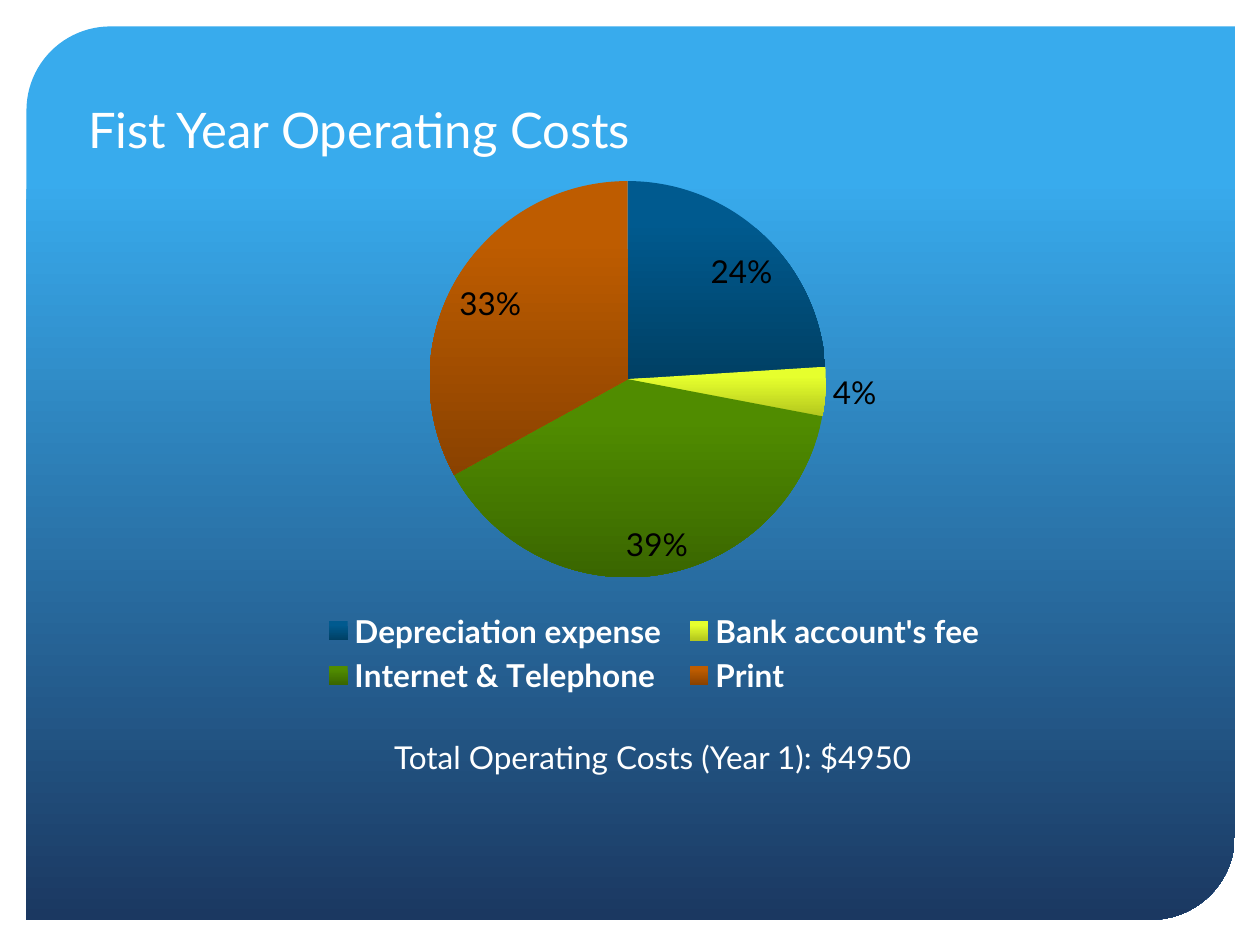
from lxml import etree
from pptx import Presentation
from pptx.chart.data import CategoryChartData
from pptx.dml.color import RGBColor
from pptx.enum.chart import XL_CHART_TYPE, XL_LABEL_POSITION, XL_LEGEND_POSITION
from pptx.enum.shapes import MSO_SHAPE
from pptx.enum.text import MSO_AUTO_SIZE
from pptx.oxml.ns import qn
from pptx.util import Inches, Pt

PANEL = MSO_SHAPE.ROUND_2_DIAG_RECTANGLE
PIE = XL_CHART_TYPE.PIE
FIT = XL_LABEL_POSITION.BEST_FIT
BOTTOM = XL_LEGEND_POSITION.BOTTOM
GROW = MSO_AUTO_SIZE.SHAPE_TO_FIT_TEXT
FONT = "Lato"
WHITE = RGBColor(0xFF, 0xFF, 0xFF)
BLACK = RGBColor(0x00, 0x00, 0x00)
SKY = RGBColor(0x38, 0xAB, 0xED)
NAVY = RGBColor(0x1B, 0x38, 0x61)
# Category, share, top and bottom colour of the slice
COSTS = [
    ("Depreciation expense ", 24, RGBColor(0x00, 0x5A, 0x8F), RGBColor(0x00, 0x40, 0x64)),
    ("Bank account's fee", 4, RGBColor(0xE6, 0xFF, 0x2D), RGBColor(0xB4, 0xC8, 0x1E)),
    ("Internet & Telephone", 39, RGBColor(0x50, 0x8C, 0x00), RGBColor(0x3A, 0x66, 0x00)),
    ("Print ", 33, RGBColor(0xBE, 0x5C, 0x00), RGBColor(0x8A, 0x42, 0x00)),
]


def shade(fill, top, base, start):
    """Fill from top to base colour, downwards."""
    fill.gradient()
    fill.gradient_angle = 270
    for stop, color, pos in zip(fill.gradient_stops, (top, base), (start, 1)):
        stop.color.rgb = color
        stop.position = pos


def style(font, size, color):
    font.name = FONT
    font.size = Pt(size)
    font.color.rgb = color


deck = Presentation()
deck.slide_width, deck.slide_height = Inches(10), Inches(7.5)
slide = deck.slides.add_slide(deck.slide_layouts[6])

# Background panel
panel = slide.shapes.add_shape(PANEL, Inches(0.21), Inches(0.21), Inches(9.59), Inches(7.09))
panel.adjustments[0] = 0.094
panel.adjustments[1] = 0
panel.shadow.inherit = False
panel.line.fill.background()
shade(panel.fill, SKY, NAVY, 0.17)

# Pie chart
data = CategoryChartData()
data.categories = [cost[0] for cost in COSTS]
data.add_series("Series 1", [cost[1] for cost in COSTS])
chart = slide.shapes.add_chart(
    PIE, Inches(1.72), Inches(1.31), Inches(6.94), Inches(4.25), data).chart
chart.has_title = False
style(chart.font, 18, BLACK)
plot = chart.plots[0]
plot.vary_by_categories = True
for i, (name, share, top, base) in enumerate(COSTS):
    shade(plot.series[0].points[i].format.fill, top, base, 0.2)

# Slice labels
plot.has_data_labels = True
labels = plot.data_labels
labels.show_percentage = True
labels.show_value = False
labels.number_format = "0%"
labels.number_format_is_linked = False
labels.position = FIT
style(labels.font, 18, BLACK)

# Legend
chart.has_legend = True
chart.legend.position = BOTTOM
chart.legend.include_in_layout = False
style(chart.legend.font, 18, WHITE)
chart.legend.font.bold = True

# Place of the pie, as shares of the chart frame
area = chart._chartSpace.chart.plotArea
for old in area.findall(qn("c:layout")):
    area.remove(old)
layout = etree.Element(qn("c:layout"))
area.insert(0, layout)
manual = etree.SubElement(layout, qn("c:manualLayout"))
for tag, val in [("layoutTarget", "inner"), ("xMode", "edge"), ("yMode", "edge"),
                 ("x", "0.24"), ("y", "0.03"), ("w", "0.46"), ("h", "0.74")]:
    etree.SubElement(manual, qn("c:" + tag)).set("val", val)

# Title and total
for text, left, top, width, height, size, wrap in [
    ("Fist Year Operating Costs", 0.6, 0.74, 4.85, 0.57, 28, True),
    ("Total Operating Costs (Year 1): $4950", 3.03, 5.81, 4.48, 0.4, 18, False),
]:
    frame = slide.shapes.add_textbox(
        Inches(left), Inches(top), Inches(width), Inches(height)).text_frame
    frame.word_wrap = wrap
    frame.auto_size = GROW
    frame.text = text
    style(frame.paragraphs[0].font, size, WHITE)

deck.save("out.pptx")
